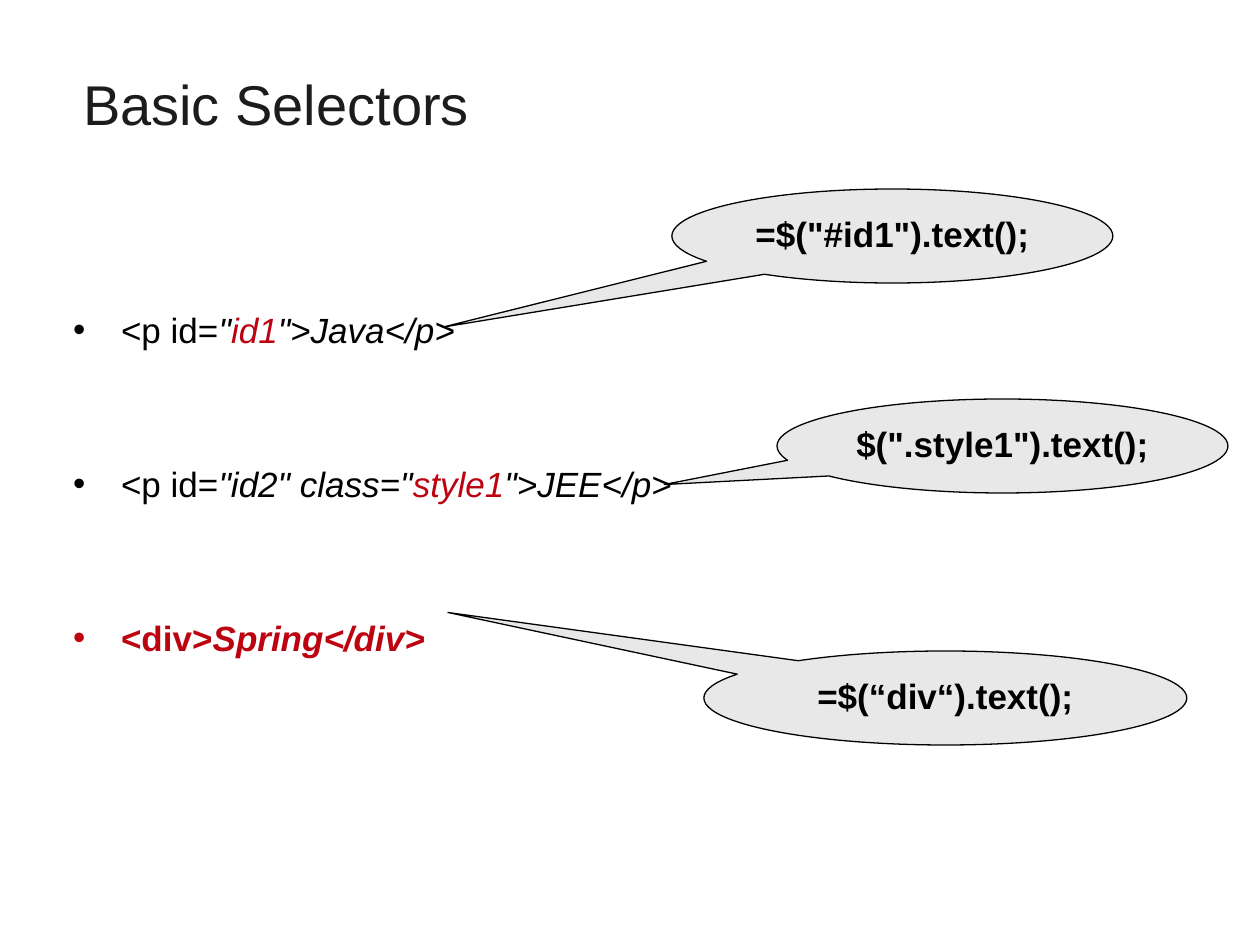
from lxml import etree
from pptx import Presentation
from pptx.dml.color import RGBColor
from pptx.enum.shapes import MSO_SHAPE
from pptx.enum.text import MSO_ANCHOR, MSO_AUTO_SIZE, PP_ALIGN
from pptx.oxml.ns import qn
from pptx.util import Pt

PX = 914400 // 126
CALLOUT = MSO_SHAPE.OVAL_CALLOUT
TOP, MIDDLE = MSO_ANCHOR.TOP, MSO_ANCHOR.MIDDLE
LEFT, CENTER = PP_ALIGN.LEFT, PP_ALIGN.CENTER
NO_AUTOFIT = MSO_AUTO_SIZE.NONE

BLACK = RGBColor(0x00, 0x00, 0x00)
TITLE_GRAY = RGBColor(0x1C, 0x1C, 0x1C)
RED = RGBColor(0xBC, 0x04, 0x11)
LIGHT_GRAY = RGBColor(0xE8, 0xE8, 0xE8)
FONT = "Arial"


def place(shape, left, top, width, height):
    shape.left, shape.top = left * PX, top * PX
    shape.width, shape.height = width * PX, height * PX


def set_frame(frame, anchor, side, top):
    frame.word_wrap = True
    frame.auto_size = NO_AUTOFIT
    frame.vertical_anchor = anchor
    frame.margin_left = frame.margin_right = side * PX
    frame.margin_top = frame.margin_bottom = top * PX


presentation = Presentation()
presentation.slide_width = 1260 * PX
presentation.slide_height = 945 * PX
slide = presentation.slides.add_slide(presentation.slide_layouts[1])

# Title
title = slide.shapes.title
place(title, 73, 53, 1134, 101)
title.text_frame.text = "Basic Selectors"
set_frame(title.text_frame, MIDDLE, 10, 6)
paragraph = title.text_frame.paragraphs[0]
paragraph.alignment = LEFT
paragraph.font.name = FONT
paragraph.font.size = Pt(32)
paragraph.font.color.rgb = TITLE_GRAY

# Markup list: bullet colour, bold, then runs of (text, italic, colour)
markup_lines = [
    (BLACK, False, [("<p id=", False, BLACK), ('"', True, BLACK),
                    ("id1", True, RED), ('">Java</p>', True, BLACK)]),
    (BLACK, False, [("<p id=", False, BLACK), ('"id2" class="', True, BLACK),
                    ("style1", True, RED), ('">JEE</p>', True, BLACK)]),
    (RED, True, [("<div>", False, RED), ("Spring</div>", True, RED)]),
]
body = slide.placeholders[1]
place(body, 63, 308, 1134, 536)
set_frame(body.text_frame, TOP, 10, 0)
for index, (bullet_color, bold, runs) in enumerate(markup_lines):
    if index == 0:
        paragraph = body.text_frame.paragraphs[0]
    else:
        paragraph = body.text_frame.add_paragraph()
    properties = paragraph._p.get_or_add_pPr()
    properties.set("marL", str(48 * PX))
    properties.set("indent", str(-48 * PX))
    bullet = etree.SubElement(properties, qn("a:buClr"))
    etree.SubElement(bullet, qn("a:srgbClr")).set("val", str(bullet_color))
    etree.SubElement(properties, qn("a:buChar")).set("char", "•")
    paragraph.space_before = Pt(64 if index else 0)
    paragraph.font.name = FONT
    paragraph.font.size = Pt(20)
    paragraph.font.bold = bold
    for text, italic, color in runs:
        run = paragraph.add_run()
        run.text = text
        run.font.italic = italic
        run.font.color.rgb = color

# Callouts: left, top, width, pointer offset, text
callouts = [
    (672, 189, 441, (-1.02, 0.97), '=$("#id1").text();'),
    (777, 399, 451, (-0.75, 0.41), '$(".style1").text();'),
    (704, 651, 483, (-1.03, -0.91), "=$(“div“).text();"),
]
for left, top, width, pointer, text in callouts:
    callout = slide.shapes.add_shape(CALLOUT, 0, 0, 0, 0)
    place(callout, left, top, width, 94)
    callout.adjustments[0], callout.adjustments[1] = pointer
    callout.shadow.inherit = False
    callout.fill.solid()
    callout.fill.fore_color.rgb = LIGHT_GRAY
    callout.line.color.rgb = BLACK
    callout.line.width = Pt(0.75)
    callout.text_frame.text = text
    set_frame(callout.text_frame, TOP, 13, 10)
    paragraph = callout.text_frame.paragraphs[0]
    paragraph.alignment = CENTER
    paragraph.font.name = FONT
    paragraph.font.size = Pt(20)
    paragraph.font.bold = True
    paragraph.font.color.rgb = BLACK

presentation.save("out.pptx")
